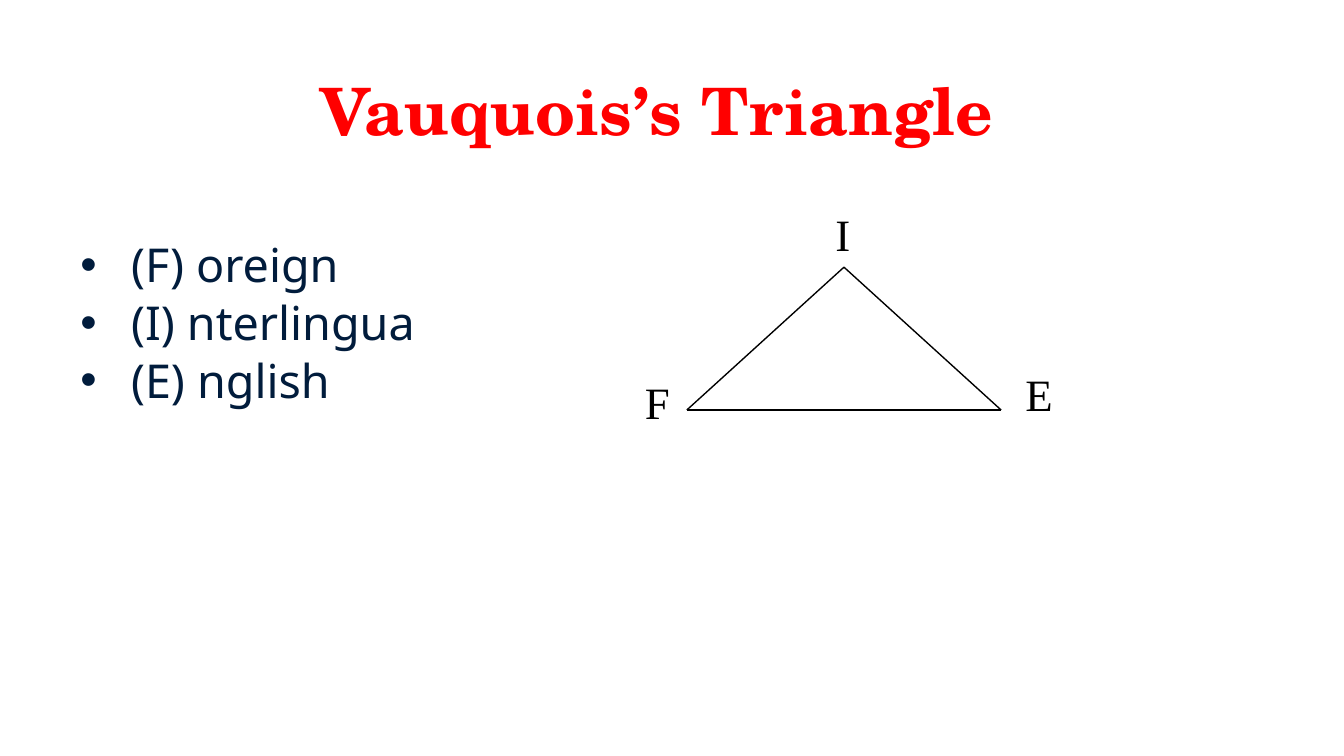
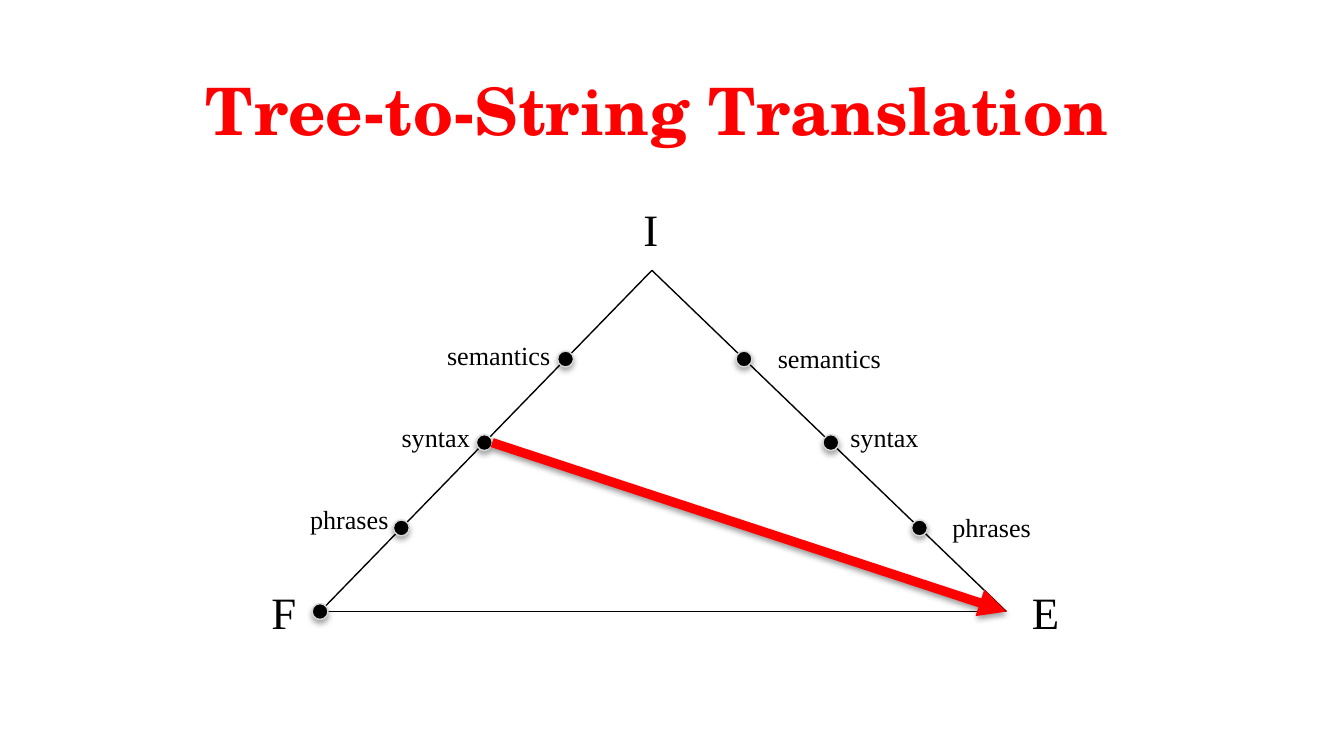
from lxml.etree import SubElement
from pptx import Presentation
from pptx.dml.color import RGBColor
from pptx.enum.shapes import MSO_CONNECTOR, MSO_SHAPE
from pptx.enum.text import MSO_ANCHOR, MSO_AUTO_SIZE, PP_ALIGN
from pptx.oxml.ns import qn
from pptx.util import Cm, Pt

RED, BLACK, NAVY, PALE_GREY = "FF0000", "000000", "011C3C", "D8D8D8"
TITLE_FONT, BODY_FONT, LABEL_FONT = "TeX Gyre Schola", "Noto Sans", "Times New Roman"
DOT_SIZE = 0.3
LEVELS = {"phrases": 0.245, "syntax": 0.495, "semantics": 0.74}
LEVEL_WIDTHS = {"phrases": 2.01, "syntax": 1.83, "semantics": 2.49}
CORNER_WIDTHS = {"F": 1.7, "E": 1.04, "I": 0.79}


def color(value):
    return RGBColor.from_string(value)


def format_font(paragraph, name, size, value, bold=False):
    for run in paragraph.runs:
        run.font.name = name
        run.font.size = Pt(size)
        run.font.bold = bold
        run.font.color.rgb = color(value)


def set_effects(shape, opacity=None, distance=0):
    """Clear the theme's shadow; with an opacity, cast one straight down."""
    effects = SubElement(shape._element.spPr, qn("a:effectLst"))
    if opacity is not None:
        shadow = SubElement(effects, qn("a:outerShdw"), blurRad=str(Pt(3.1)),
                            dist=str(Pt(distance)), dir="5400000", rotWithShape="0")
        black = SubElement(shadow, qn("a:srgbClr"), val=BLACK)
        SubElement(black, qn("a:alpha"), val=str(opacity * 1000))


def add_titled_slide(presentation, text):
    slide = presentation.slides.add_slide(presentation.slide_layouts[5])
    title = slide.shapes.title
    title.left, title.top, title.width, title.height = Cm(0.71), Cm(1.09), Cm(23.42), Cm(1.96)
    frame = title.text_frame
    frame.text = text
    frame.auto_size = MSO_AUTO_SIZE.NONE
    frame.vertical_anchor = MSO_ANCHOR.MIDDLE
    frame.paragraphs[0].alignment = PP_ALIGN.CENTER
    format_font(frame.paragraphs[0], TITLE_FONT, 35, RED, bold=True)
    return slide


def add_bullets(slide, items):
    box = slide.shapes.add_textbox(Cm(1.27), Cm(4.34), Cm(22.86), Cm(7.52))
    frame = box.text_frame
    frame.word_wrap = True
    frame.text = "\n".join(items)
    for index, paragraph in enumerate(frame.paragraphs):
        properties = paragraph._p.get_or_add_pPr()
        properties.set("marL", str(Cm(0.96)))
        properties.set("indent", str(-Cm(0.96)))
        SubElement(properties, qn("a:buFont"), typeface="Arial")
        SubElement(properties, qn("a:buChar"), char="•")
        if index:
            paragraph.space_before = Pt(1)
        format_font(paragraph, BODY_FONT, 25, NAVY)


def add_label(slide, text, position, width, height, size):
    left, top = position
    box = slide.shapes.add_textbox(Cm(left), Cm(top), Cm(width), Cm(height))
    frame = box.text_frame
    frame.text = text
    frame.word_wrap = False
    frame.auto_size = MSO_AUTO_SIZE.SHAPE_TO_FIT_TEXT
    format_font(frame.paragraphs[0], LABEL_FONT, size, BLACK)


def add_line(slide, start, end, value=BLACK, width=0.75):
    line = slide.shapes.add_connector(
        MSO_CONNECTOR.STRAIGHT, *(Cm(length) for length in (*start, *end)))
    line.line.color.rgb = color(value)
    line.line.width = Pt(width)
    return line


def add_arrow(slide, start, end):
    arrow = add_line(slide, start, end, RED, 5)
    SubElement(arrow.line._get_or_add_ln(), qn("a:tailEnd"), type="triangle")
    set_effects(arrow, opacity=38, distance=1.6)


def add_dot(slide, center):
    left, top = (Cm(length - DOT_SIZE / 2) for length in center)
    dot = slide.shapes.add_shape(MSO_SHAPE.OVAL, left, top, Cm(DOT_SIZE), Cm(DOT_SIZE))
    dot.fill.solid()
    dot.fill.fore_color.rgb = color(BLACK)
    dot.line.color.rgb = color(PALE_GREY)
    dot.line.width = Pt(0.75)
    set_effects(dot, opacity=35, distance=1.8)


def add_triangle(slide, corners, label_positions):
    for start, end in ("FI", "IE", "FE"):
        set_effects(add_line(slide, corners[start], corners[end]))
    for name, position in label_positions.items():
        add_label(slide, name, position, CORNER_WIDTHS[name], 1.27, 24)


def point_between(start, end, fraction):
    return tuple(a + (b - a) * fraction for a, b in zip(start, end))


def add_levels(slide, base, apex, label_positions):
    """Mark each level of analysis on one side of the triangle."""
    for name, position in label_positions.items():
        add_dot(slide, point_between(base, apex, LEVELS[name]))
        add_label(slide, name, position, LEVEL_WIDTHS[name], 0.86, 14)


def build_vauquois_slide(presentation):
    slide = add_titled_slide(presentation, "Vauquois’s Triangle")
    add_bullets(slide, ["(F) oreign", "(I) nterlingua", "(E) nglish"])
    add_triangle(slide,
                 {"F": (12.98, 7.75), "I": (15.95, 5.05), "E": (18.92, 7.75)},
                 {"F": (11.94, 6.96), "E": (19.13, 6.81), "I": (15.54, 3.78)})


def build_translation_slide(presentation):
    slide = add_titled_slide(presentation, "Tree-to-String Translation")
    corners = {"F": (6.05, 11.56), "I": (12.32, 5.11), "E": (19.02, 11.56)}
    foreign, interlingua, english = corners.values()
    add_triangle(slide, corners,
                 {"F": (4.88, 10.92), "E": (19.25, 10.92), "I": (11.91, 3.68)})
    add_dot(slide, foreign)
    add_levels(slide, foreign, interlingua,
               {"phrases": (5.61, 9.4), "syntax": (7.34, 7.85), "semantics": (8.2, 6.3)})
    add_levels(slide, english, interlingua,
               {"phrases": (17.75, 9.55), "syntax": (15.82, 7.85), "semantics": (14.45, 6.35)})
    syntax_x, syntax_y = point_between(foreign, interlingua, LEVELS["syntax"])
    add_arrow(slide, (syntax_x + DOT_SIZE / 2, syntax_y), english)


def main():
    presentation = Presentation()
    presentation.slide_width, presentation.slide_height = Cm(25.4), Cm(14.29)
    build_vauquois_slide(presentation)
    build_translation_slide(presentation)
    presentation.save("out.pptx")


if __name__ == "__main__":
    main()
